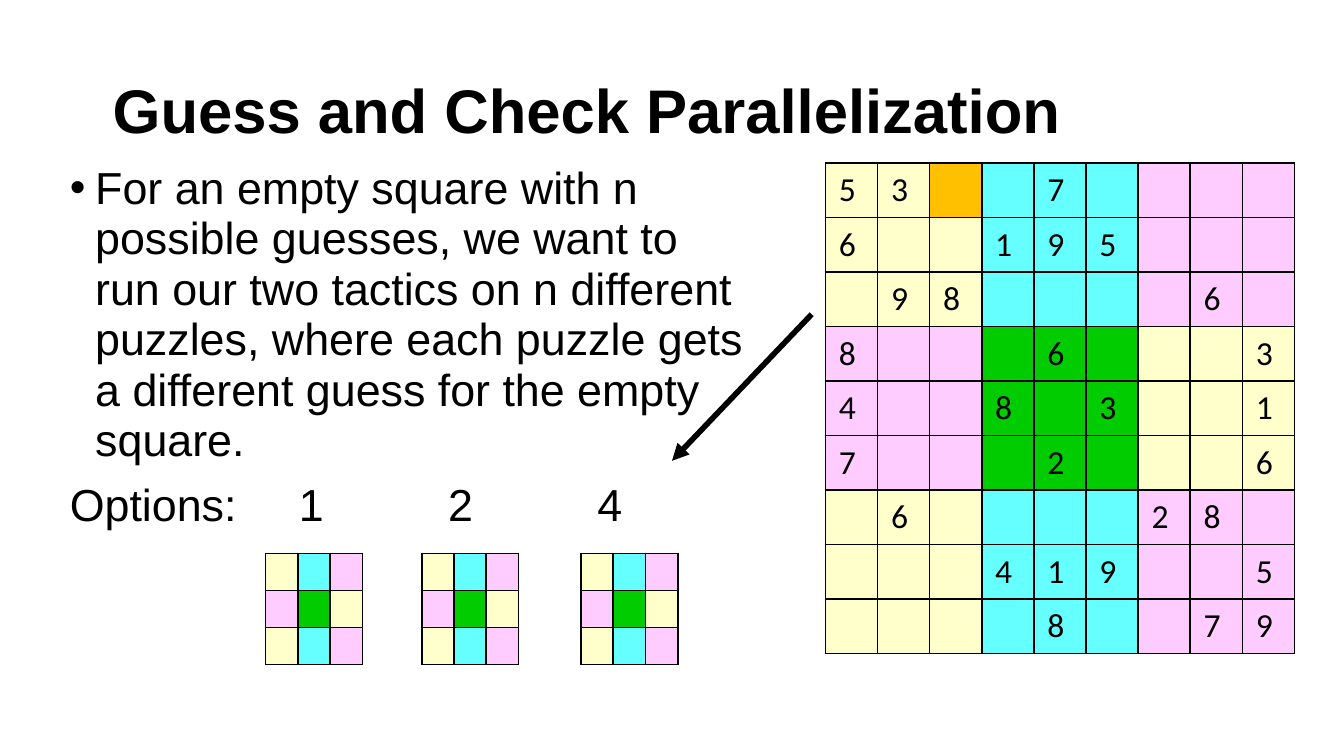
import pptx
import pptx.dml.color
import pptx.enum.shapes
import pptx.enum.text
import pptx.oxml
import pptx.oxml.ns
import pptx.util
from lxml import etree
from pptx.util import Cm

BLACK = "000000"
CREAM, CYAN, PINK, GREEN, ORANGE = "FFFFCC", "66FFFF", "FFCCFF", "00CC00", "FFC000"
BOX_COLOURS = [[CREAM, CYAN, PINK], [PINK, GREEN, CREAM], [CREAM, CYAN, PINK]]

# One string per row, a dot for each empty square
PUZZLE = [
    "53..7....",
    "6..195...",
    ".98....6.",
    "8...6...3",
    "4..8.3..1",
    "7...2...6",
    ".6....28.",
    "...419..5",
    "....8..79",
]
OPTION_TABS = [4.33, 7.15, 9.97]
OPTION_LEFTS = [5.02, 7.97, 10.98]


def rgb(colour):
    return pptx.dml.color.RGBColor.from_string(colour)


def add_xml(parent, tag, **attributes):
    return etree.SubElement(parent, pptx.oxml.ns.qn(tag), attributes)


def style(paragraph, size, font="Arial", bold=False):
    for run in paragraph.runs:
        run.font.size = pptx.util.Pt(size)
        run.font.name = font
        run.font.bold = bold
        run.font.color.rgb = rgb(BLACK)


def add_text_frame(slide, left, top, width, height):
    frame = slide.shapes.add_textbox(Cm(left), Cm(top), Cm(width), Cm(height)).text_frame
    frame.word_wrap = True
    return frame


def add_title(slide, text):
    frame = add_text_frame(slide, 1.88, 0.76, 21.77, 2.77)
    frame.vertical_anchor = pptx.enum.text.MSO_ANCHOR.MIDDLE
    frame.text = text
    frame.paragraphs[0].line_spacing = 0.9
    style(frame.paragraphs[0], 33, bold=True)


def add_body(slide, explanation, options):
    frame = add_text_frame(slide, 1.07, 2.97, 13.31, 10.54)
    frame.text = explanation + "\n" + "\t".join(["Options:"] + options)
    for paragraph in frame.paragraphs:
        paragraph.line_spacing = 0.94
        paragraph.space_before = pptx.util.Pt(7.5)
        style(paragraph, 24)
    bullet_item, option_line = [p._p.get_or_add_pPr() for p in frame.paragraphs]

    # Hanging bullet
    bullet_item.set("marL", str(Cm(0.48)))
    bullet_item.set("indent", str(-Cm(0.48)))
    add_xml(bullet_item, "a:buFont", typeface="Arial")
    add_xml(bullet_item, "a:buChar", char="•")

    # Tab stops that line up the options
    tabs = add_xml(option_line, "a:tabLst")
    for position in OPTION_TABS:
        add_xml(tabs, "a:tab", pos=str(Cm(position)), algn="l")


def set_borders(cell):
    properties = cell._tc.get_or_add_tcPr()
    for index, side in enumerate(("a:lnL", "a:lnR", "a:lnT", "a:lnB")):
        border = etree.Element(pptx.oxml.ns.qn(side), w=str(pptx.util.Pt(1)))
        add_xml(add_xml(border, "a:solidFill"), "a:srgbClr", val=BLACK)
        properties.insert(index, border)


def add_grid(slide, left, top, column_width, row_height, colours, digits=None):
    count = len(colours)
    table = slide.shapes.add_table(count, count, Cm(left), Cm(top),
                                   Cm(column_width * count), Cm(row_height * count)).table
    for line in range(count):
        table.columns[line].width = Cm(column_width)
        table.rows[line].height = Cm(row_height)
    for row in range(count):
        for column in range(count):
            cell = table.cell(row, column)
            cell.fill.solid()
            cell.fill.fore_color.rgb = rgb(colours[row][column])
            set_borders(cell)
            paragraph = cell.text_frame.paragraphs[0]
            if digits and digits[row][column] != ".":
                paragraph.text = digits[row][column]
                style(paragraph, 18, "Calibri")
            else:
                # A small empty line keeps the row from growing
                add_xml(paragraph._p, "a:endParaRPr", sz="600")


def add_arrow(slide, start, end):
    arrow = slide.shapes.add_connector(pptx.enum.shapes.MSO_CONNECTOR.STRAIGHT,
                                       *map(Cm, start + end))
    arrow.line.color.rgb = rgb(BLACK)
    arrow.line.width = pptx.util.Pt(3)
    add_xml(arrow.line._get_or_add_ln(), "a:tailEnd", type="triangle")
    add_xml(arrow._element.spPr, "a:effectLst")


def main():
    presentation = pptx.Presentation()
    presentation.slide_width, presentation.slide_height = Cm(25.4), Cm(14.29)
    slide = presentation.slides.add_slide(presentation.slide_layouts[6])

    # Title and explanation
    add_title(slide, "Guess and Check Parallelization")
    add_body(slide,
             "For an empty square with n possible guesses, we want to run our two tactics "
             "on n different puzzles, where each puzzle gets a different guess for the "
             "empty square.",
             ["1", "2", "4"])

    # Full puzzle, with the guessed square marked
    puzzle_colours = [[BOX_COLOURS[row // 3][column // 3] for column in range(9)]
                      for row in range(9)]
    puzzle_colours[0][2] = ORANGE
    add_grid(slide, 15.6, 3.08, 0.985, 1.03, puzzle_colours, PUZZLE)

    # One small puzzle for each option
    add_arrow(slide, (15.34, 5.94), (12.7, 8.71))
    for left in OPTION_LEFTS:
        add_grid(slide, left, 10.46, 0.61, 0.7, BOX_COLOURS)

    presentation.save("out.pptx")


if __name__ == "__main__":
    main()
